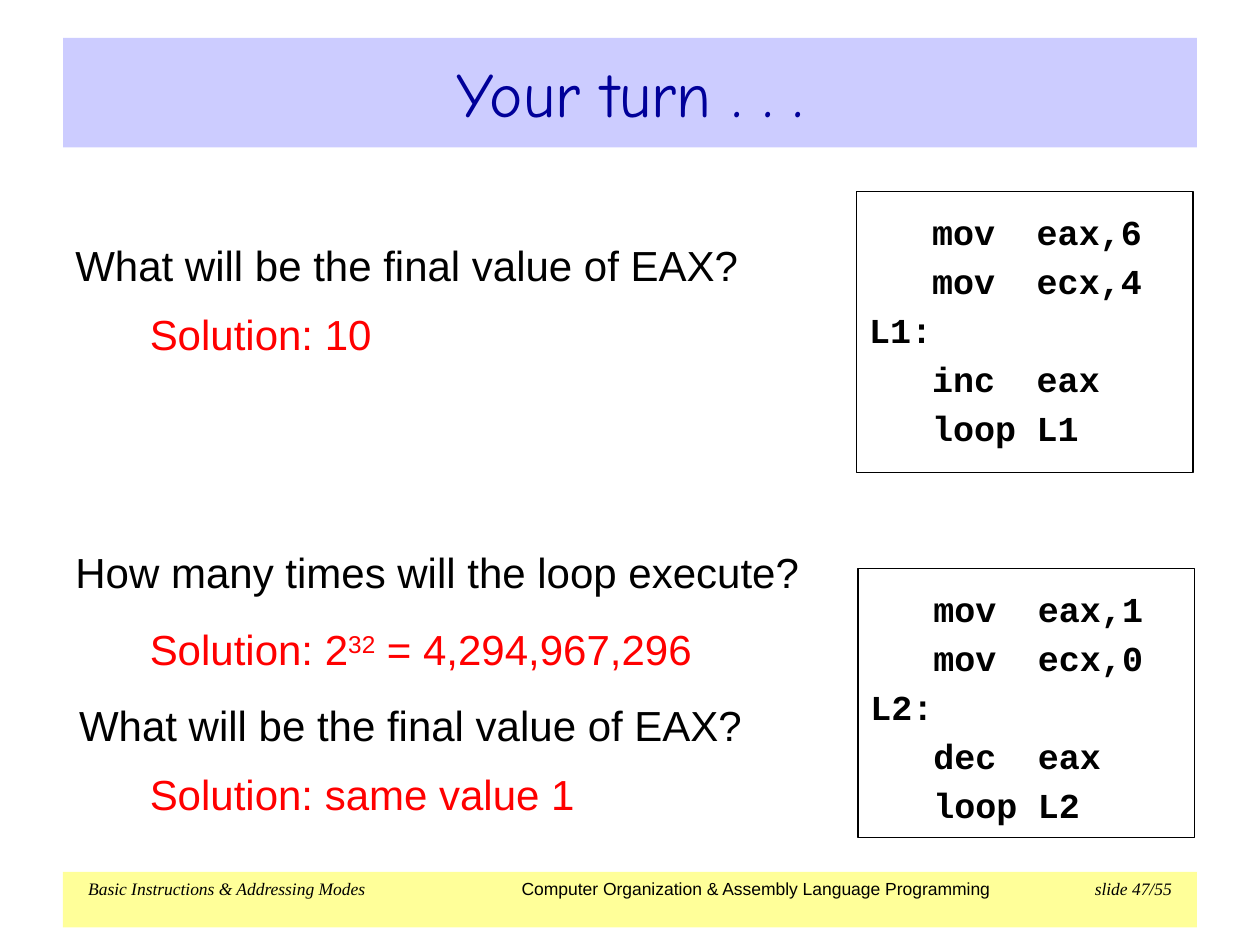
import dataclasses
import typing

import lxml.etree
import pptx
import pptx.dml.color
import pptx.enum.shapes
import pptx.enum.text
import pptx.oxml.ns
import pptx.util

Inch = pptx.util.Inches
Align = pptx.enum.text.PP_ALIGN
Anchor = pptx.enum.text.MSO_ANCHOR


@dataclasses.dataclass(frozen=True)
class Theme:
    ink: str = "000000"
    answer: str = "FF0000"
    title: str = "000099"
    band: str = "CCCCFF"
    foot: str = "FFFF99"
    sans: str = "Arial"
    serif: str = "Times New Roman"
    mono: str = "Courier New"
    hand: str = "Comic Neue"
    head: float = 36
    body: float = 24
    code: float = 20
    small: float = 10


@dataclasses.dataclass(frozen=True)
class Run:
    text: str
    font: str = ""
    slant: bool = False
    power: bool = False


@dataclasses.dataclass(frozen=True)
class Line:
    left: float
    top: float
    width: float
    runs: tuple[Run, ...]
    color: str


@dataclasses.dataclass(frozen=True)
class Code:
    left: float
    top: float
    height: float
    label: str
    start: int
    count: int
    verb: str


THEME = Theme()
EDGE = 0.5
INDENT = 1.09
SPAN = 9
ASK = "What will be the final value of EAX?"

LINES = (
    Line(EDGE, 1.75, 5.76, (Run(ASK),), THEME.ink),
    Line(INDENT, 2.3, 2.79, (Run("Solution: 10"),), THEME.answer),
    Line(EDGE, 4.19, 6.01, (Run("How many times will the loop execute?"),), THEME.ink),
    Line(INDENT, 4.8, 4.91,
         (Run("Solution: 2"), Run("32", power=True), Run(" = 4,294,967,296")),
         THEME.answer),
    Line(0.53, 5.4, 5.76, (Run(ASK),), THEME.ink),
    Line(INDENT, 5.95, 4.35, (Run("Solution: same value 1"),), THEME.answer),
)
CODES = (
    Code(6.8, 1.52, 2.23, "L1", 6, 4, "inc"),
    Code(6.81, 4.51, 2.14, "L2", 1, 0, "dec"),
)


def tint(text: str) -> pptx.dml.color.RGBColor:
    return pptx.dml.color.RGBColor.from_string(text)


def write(shape: typing.Any, rows: typing.Sequence[typing.Sequence[Run]], *,
          size: float, font: str, color: str = THEME.ink, bold: bool = False,
          align: Align = Align.LEFT, anchor: Anchor = Anchor.TOP,
          before: float = 0, side: float = 0.1, pad: float = 0.15,
          tabs: typing.Sequence[tuple[float, str]] = ()) -> None:
    frame = shape.text_frame
    frame.auto_size = pptx.enum.text.MSO_AUTO_SIZE.NONE
    frame.word_wrap = True
    frame.vertical_anchor = anchor
    frame.margin_left = frame.margin_right = Inch(side)
    frame.margin_top = frame.margin_bottom = Inch(pad)
    for index, row in enumerate(rows):
        para = frame.add_paragraph() if index else frame.paragraphs[0]
        para.alignment = align
        para.space_before = pptx.util.Pt(before)
        if tabs:
            stops = lxml.etree.SubElement(
                para._p.get_or_add_pPr(), pptx.oxml.ns.qn("a:tabLst"))
            for place, kind in tabs:
                lxml.etree.SubElement(stops, pptx.oxml.ns.qn("a:tab"),
                                      pos=str(int(Inch(place))), algn=kind)
        for part in row:
            run = para.add_run()
            run.text = part.text
            run.font.size = pptx.util.Pt(size)
            run.font.name = part.font or font
            run.font.bold = bold
            run.font.italic = part.slant
            run.font.color.rgb = tint(color)
            if part.power:
                run._r.get_or_add_rPr().set("baseline", "30000")


def box(slide: typing.Any, left: float, top: float, width: float, height: float,
        fill: str = "", edge: str = "") -> typing.Any:
    shape = slide.shapes.add_shape(pptx.enum.shapes.MSO_SHAPE.RECTANGLE,
                                   Inch(left), Inch(top), Inch(width), Inch(height))
    shape.shadow.inherit = False
    if fill:
        shape.fill.solid()
        shape.fill.fore_color.rgb = tint(fill)
    else:
        shape.fill.background()
    if edge:
        shape.line.color.rgb = tint(edge)
        shape.line.width = pptx.util.Pt(0.74)
    else:
        shape.line.fill.background()
    return shape


def foot(slide: typing.Any) -> None:
    parts = (Run("Basic Instructions & Addressing Modes\t", slant=True),
             Run("Computer Organization & Assembly Language Programming\t", THEME.sans),
             Run("slide 47/55", slant=True))
    write(box(slide, EDGE, 6.92, SPAN, 0.44, THEME.foot), [parts],
          size=THEME.small, font=THEME.serif, side=0.2, pad=0.05,
          tabs=((3.44, "l"), (8.6, "r")))


def head(slide: typing.Any) -> None:
    title = slide.shapes.title
    title.left, title.top = Inch(EDGE), Inch(0.3)
    title.width, title.height = Inch(SPAN), Inch(0.87)
    title.fill.solid()
    title.fill.fore_color.rgb = tint(THEME.band)
    write(title, [[Run("Your turn . . .")]], size=THEME.head, font=THEME.hand,
          color=THEME.title, align=Align.CENTER, anchor=Anchor.MIDDLE, pad=0.05)


def say(slide: typing.Any, line: Line) -> None:
    shape = slide.shapes.add_textbox(Inch(line.left), Inch(line.top),
                                     Inch(line.width), Inch(0.7))
    write(shape, [line.runs], size=THEME.body, font=THEME.sans,
          color=line.color, before=2.4)


def code(slide: typing.Any, item: Code) -> None:
    rows = (f"\tmov\teax,{item.start}", f"\tmov\tecx,{item.count}", f"{item.label}:",
            f"\t{item.verb}\teax", f"\tloop\t{item.label}")
    shape = box(slide, item.left, item.top, 2.67, item.height, edge=THEME.ink)
    write(shape, [[Run(row)] for row in rows], size=THEME.code, font=THEME.mono,
          bold=True, before=4, tabs=((0.5, "l"), (1.33, "l")))


def main() -> None:
    deck = pptx.Presentation()
    deck.slide_width, deck.slide_height = Inch(10), Inch(7.5)
    slide = deck.slides.add_slide(deck.slide_layouts.get_by_name("Title Only"))
    foot(slide)
    head(slide)
    for line in LINES:
        say(slide, line)
    for item in CODES:
        code(slide, item)
    deck.save("out.pptx")


main()
